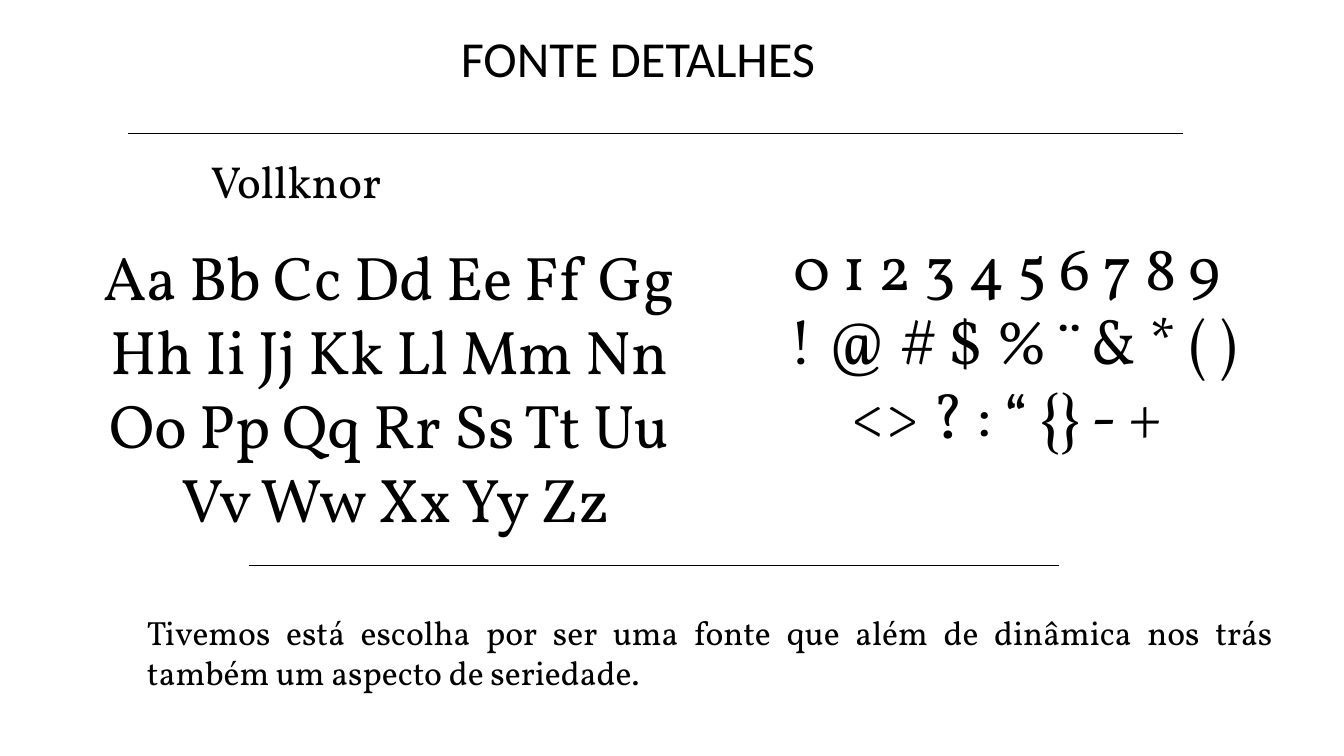
import pptx
import pptx.util
import pptx.dml.color
import pptx.enum.shapes
import pptx.enum.text
import pptx.oxml.ns
import lxml.etree

Inches = pptx.util.Inches
ALIGN = pptx.enum.text.PP_ALIGN
COLORS = {"ink": "000000", "page": "FFFFFF"}
SERIF = "Vollkorn"
SANS = "Calibri"


def paint(name):
    """Return the named colour."""
    return pptx.dml.color.RGBColor.from_string(COLORS[name])


def write(shape, lines, size, font=SERIF, align=ALIGN.LEFT, wrap=True):
    """Fill a shape with one formatted paragraph per line."""
    frame = shape.text_frame
    frame.word_wrap = wrap
    frame.auto_size = pptx.enum.text.MSO_AUTO_SIZE.NONE
    frame.vertical_anchor = pptx.enum.text.MSO_ANCHOR.TOP
    for i, line in enumerate(lines):
        para = frame.add_paragraph() if i else frame.paragraphs[0]
        para.alignment = align
        run = para.add_run()
        run.text = line
        run.font.size = pptx.util.Pt(size)
        run.font.name = font
        run.font.color.rgb = paint("ink")


def label(slide, box, lines, size, **style):
    """Add a text box at (left, top, width, height)."""
    shape = slide.shapes.add_textbox(*map(Inches, box))
    write(shape, lines, size, **style)


def rule(slide, left, top, width):
    """Draw a thin horizontal rule."""
    line = slide.shapes.add_connector(
        pptx.enum.shapes.MSO_CONNECTOR.STRAIGHT,
        Inches(left), Inches(top), Inches(left + width), Inches(top))
    line.line.color.rgb = paint("ink")
    line.line.width = pptx.util.Pt(0.5)
    props = line._element.spPr
    lxml.etree.SubElement(props, pptx.oxml.ns.qn("a:effectLst"))


def header(slide, left, top, width):
    """Place the title centred above its rule."""
    title = slide.shapes.title
    wide, high = 4.06, 0.71
    title.left = Inches(left + (width - wide) / 2)
    title.top = Inches(top)
    title.width, title.height = Inches(wide), Inches(high)
    write(title, ["FONTE DETALHES"], 36, font=SANS, wrap=False)
    rule(slide, left, top + 1.1, width)


def sample(slide, left, top):
    """Show the font's name, letters, figures and signs."""
    label(slide, (left + 1.4, top, 2.24, 0.64), ["Vollknor"], 32, wrap=False)
    letters = ["Aa Bb Cc Dd Ee Ff Gg ", "Hh Ii Jj Kk Ll Mm Nn ",
               "Oo Pp Qq Rr Ss Tt Uu ", "Vv Ww Xx Yy Zz"]
    signs = ["0 1 2 3 4 5 6 7 8 9",
             " ! @ # $ % ¨ & * ( ) <> ? : “ {} - +"]
    label(slide, (left, top + 0.84, 6.67, 3.06), letters, 44,
          align=ALIGN.CENTER)
    label(slide, (left + 6.67, top + 0.74, 5.46, 2.32), signs, 44,
          align=ALIGN.CENTER)


def reason(slide, left, top, width):
    """Explain the choice of font below a short rule."""
    rule(slide, left + 1.11, top, 8.03)
    text = ("Tivemos está escolha por ser uma fonte que além de dinâmica "
            "nos trás também um aspecto de seriedade.")
    label(slide, (left, top + 0.41, width, 0.91), [text], 24,
          align=ALIGN.JUSTIFY)


def build():
    """Build and save the slide."""
    deck = pptx.Presentation()
    deck.slide_width, deck.slide_height = Inches(13.33), Inches(7.5)
    slide = deck.slides.add_slide(deck.slide_layouts.get_by_name("Title Only"))
    slide.background.fill.solid()
    slide.background.fill.fore_color.rgb = paint("page")
    header(slide, 1.27, 0.22, 10.46)
    sample(slide, 0.59, 1.48)
    reason(slide, 1.36, 5.61, 11.36)
    deck.save("out.pptx")


build()
